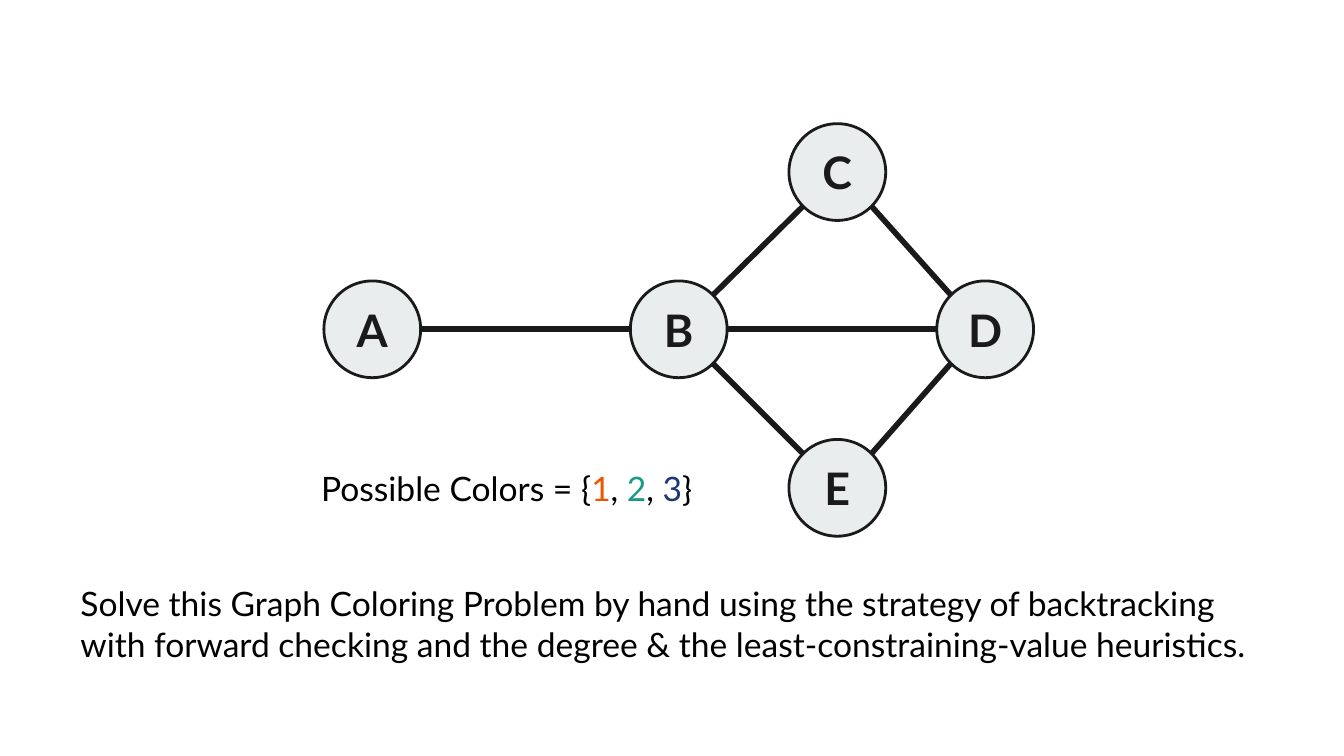
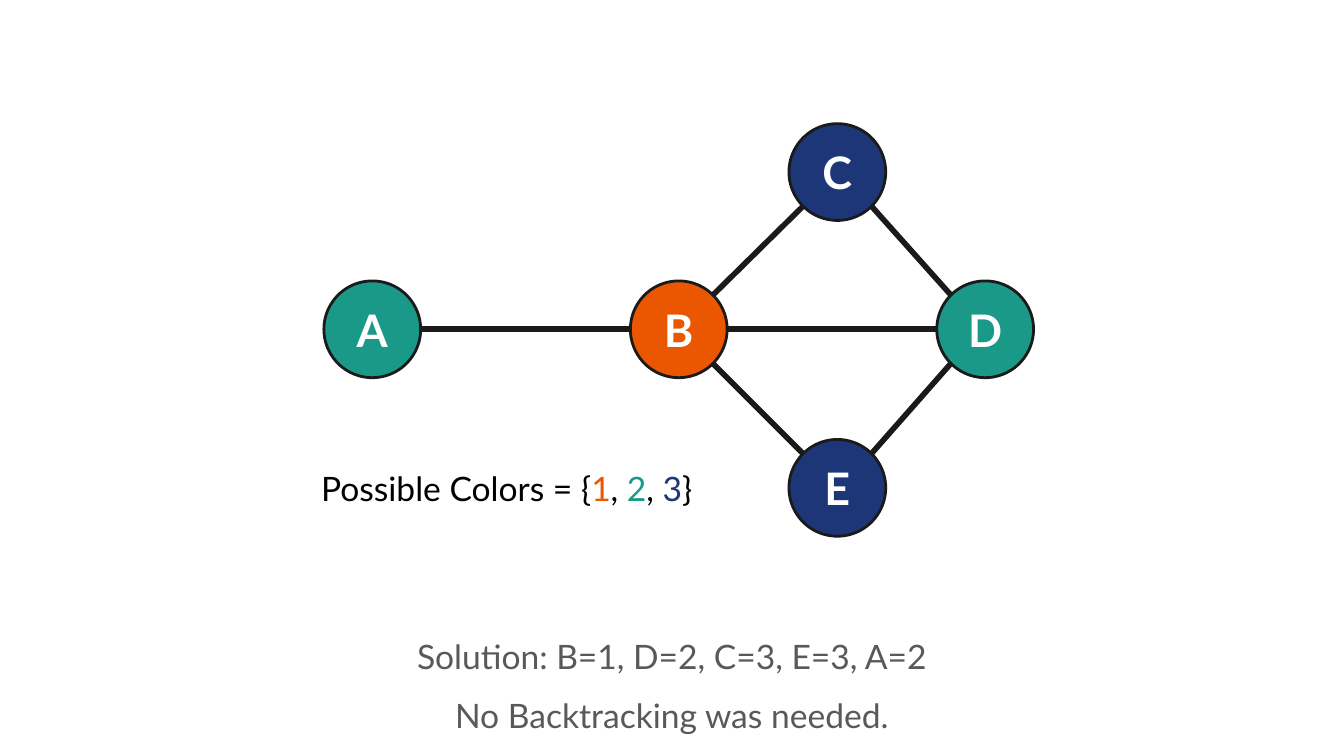
"""Build two slides: a graph colouring problem and its solution."""
import math
from dataclasses import dataclass

from lxml import etree
from pptx import Presentation
from pptx.dml.color import RGBColor
from pptx.enum import shapes, text
from pptx.oxml.ns import qn
from pptx.util import Inches, Pt

FONT = "Lato"
INK, BLACK, WHITE, GREY, PALE = "1A1A1A", "000000", "FFFFFF", "595959", "E9EDEE"
VALUE_COLORS = {1: "EB5600", 2: "1A9988", 3: "1C3678"}
SLIDE_WIDTH = 10
SLIDE_HEIGHT = SLIDE_WIDTH * 9 / 16
DIAMETER = 0.72
EDGES = ("AB", "BC", "BD", "BE", "ED", "DC")
SOLUTION = {"B": 1, "D": 2, "C": 3, "E": 3, "A": 2}


@dataclass(frozen=True)
class Node:
    name: str
    x: float
    y: float


@dataclass(frozen=True)
class Box:
    left: float
    top: float
    width: float
    height: float


NODES = {n.name: n for n in (
    Node("D", 7.33, 2.45),
    Node("B", 5.05, 2.45),
    Node("C", 6.23, 1.28),
    Node("E", 6.23, 3.63),
    Node("A", 2.77, 2.45),
)}
DOMAIN_BOX = Box(2.29, 3.38, 3.11, 0.5)
TASK_BOX = Box(0.5, 4.24, 9.01, 0.81)
RESULT_BOXES = (Box(2.55, 4.63, 4.9, 0.53), Box(2.55, 5.07, 4.9, 0.53))


def rgb(value: str) -> RGBColor:
    return RGBColor.from_string(value)


def style_paragraph(p, size: int, color: str, bold: bool = False,
                    align=text.PP_ALIGN.LEFT) -> None:
    p.alignment = align
    p.font.name, p.font.size, p.font.bold = FONT, Pt(size), bold
    p.font.color.rgb = rgb(color)


def set_margins(tf) -> None:
    tf.margin_left = tf.margin_right = tf.margin_top = tf.margin_bottom = Inches(0.1)
    tf.word_wrap = True


def add_text(slide, box: Box, content: str = "", color: str = BLACK,
             align=text.PP_ALIGN.LEFT):
    sp = slide.shapes.add_textbox(Inches(box.left), Inches(box.top),
                                  Inches(box.width), Inches(box.height))
    set_margins(sp.text_frame)
    p = sp.text_frame.paragraphs[0]
    if content:
        p.add_run().text = content
    style_paragraph(p, 18, color, align=align)
    return p


def add_domain(slide) -> None:
    p = add_text(slide, DOMAIN_BOX)
    lead = "Possible Colors = {"
    for value, color in VALUE_COLORS.items():
        p.add_run().text = lead
        r = p.add_run()
        r.text = str(value)
        r.font.color.rgb = rgb(color)
        lead = ", "
    p.add_run().text = "}"


def add_node(slide, node: Node, fill: str, color: str) -> None:
    radius = DIAMETER / 2
    sp = slide.shapes.add_shape(
        shapes.MSO_SHAPE.OVAL, Inches(node.x - radius), Inches(node.y - radius),
        Inches(DIAMETER), Inches(DIAMETER))
    sp.shadow.inherit = False
    sp.fill.solid()
    sp.fill.fore_color.rgb = rgb(fill)
    sp.line.color.rgb = rgb(INK)
    sp.line.width = Pt(1.5)
    tf = sp.text_frame
    set_margins(tf)
    tf.vertical_anchor = text.MSO_ANCHOR.MIDDLE
    p = tf.paragraphs[0]
    p.add_run().text = node.name
    style_paragraph(p, 24, color, bold=True, align=text.PP_ALIGN.CENTER)


def rim_point(node: Node, toward: Node) -> tuple[float, float]:
    step = math.pi / 4
    angle = round(math.atan2(toward.y - node.y, toward.x - node.x) / step) * step
    radius = DIAMETER / 2
    return node.x + radius * math.cos(angle), node.y + radius * math.sin(angle)


def add_edge(slide, start: Node, end: Node) -> None:
    ends = (*rim_point(start, end), *rim_point(end, start))
    line = slide.shapes.add_connector(shapes.MSO_CONNECTOR.STRAIGHT, *map(Inches, ends))
    line.line.color.rgb = rgb(INK)
    line.line.width = Pt(3)
    etree.SubElement(line._element.spPr, qn("a:effectLst"))


def add_graph(slide, assignment: dict[str, int]) -> None:
    for name, node in NODES.items():
        if name in assignment:
            add_node(slide, node, VALUE_COLORS[assignment[name]], WHITE)
        else:
            add_node(slide, node, PALE, INK)
    for start, end in EDGES:
        add_edge(slide, NODES[start], NODES[end])
    add_domain(slide)


def add_slide(prs, assignment: dict[str, int]):
    slide = prs.slides.add_slide(prs.slide_layouts[6])
    add_graph(slide, assignment)
    return slide


def main() -> None:
    prs = Presentation()
    prs.slide_width, prs.slide_height = Inches(SLIDE_WIDTH), Inches(SLIDE_HEIGHT)

    problem = add_slide(prs, {})
    add_text(problem, TASK_BOX,
             "Solve this Graph Coloring Problem by hand using the strategy of "
             "backtracking with forward checking and the degree & the "
             "least-constraining-value heuristics.")

    solved = add_slide(prs, SOLUTION)
    steps = ", ".join(f"{name}={value}" for name, value in SOLUTION.items())
    results = (f"Solution: {steps}", "No Backtracking was needed.")
    for box, result in zip(RESULT_BOXES, results):
        add_text(solved, box, result, GREY, text.PP_ALIGN.CENTER)

    prs.save("out.pptx")


if __name__ == "__main__":
    main()
